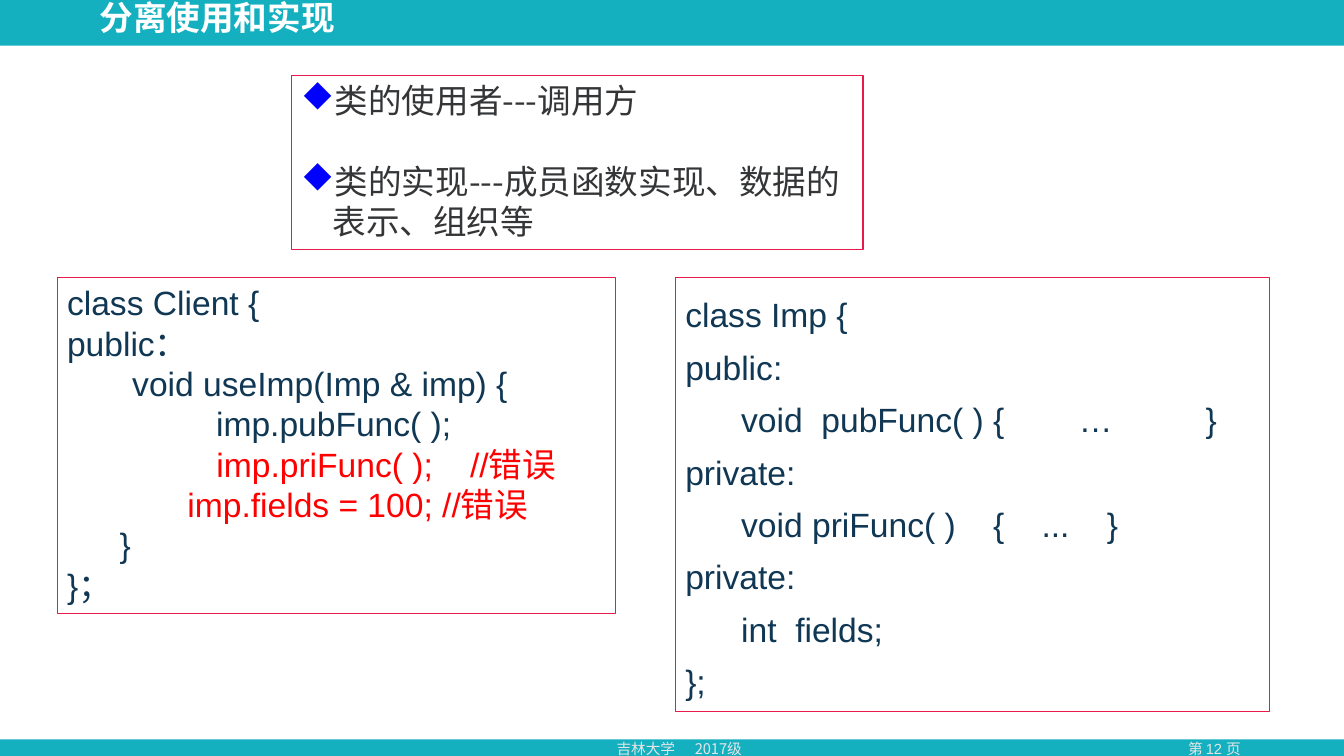
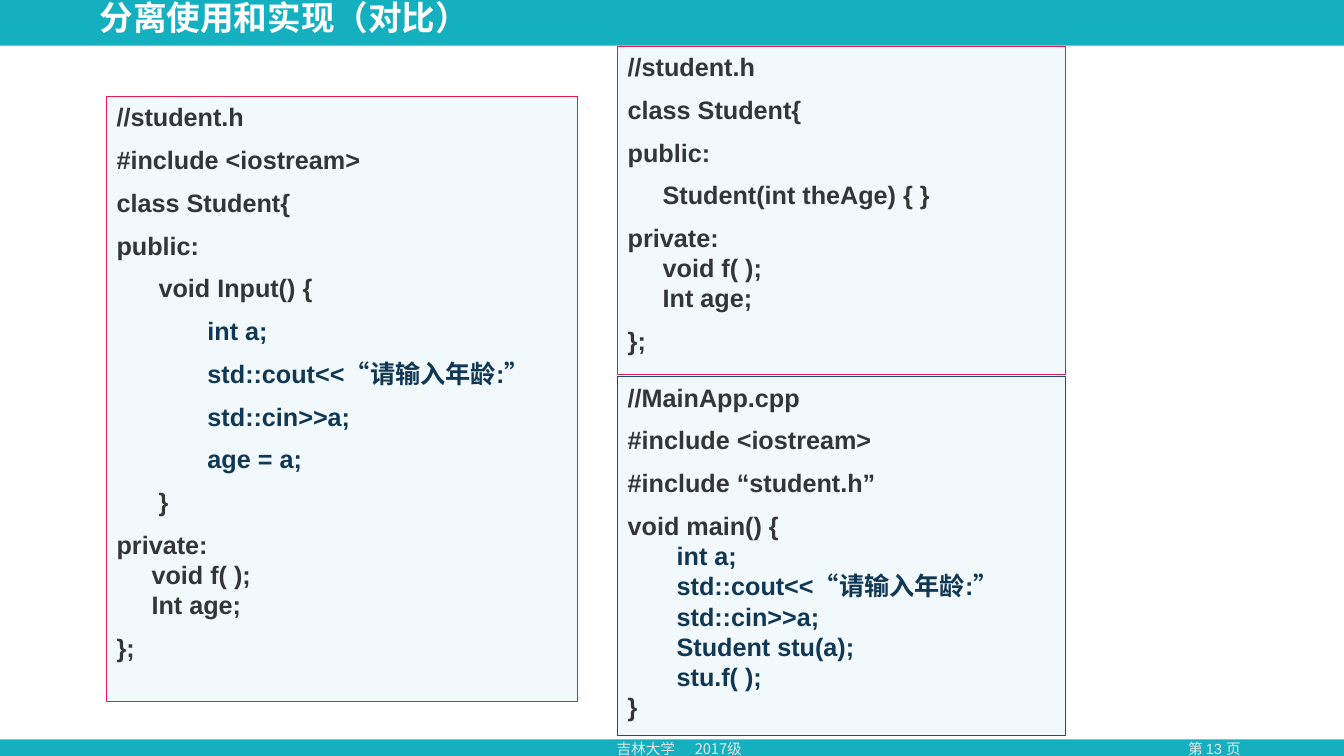
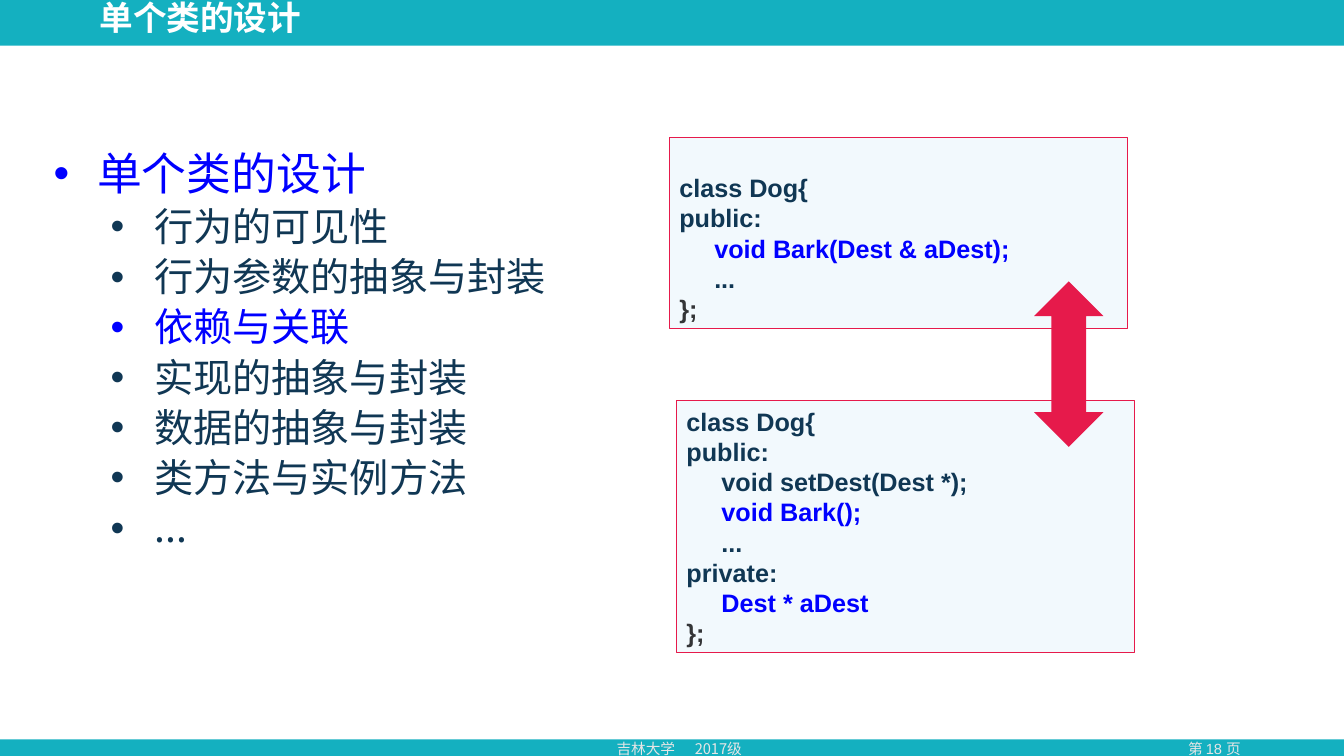
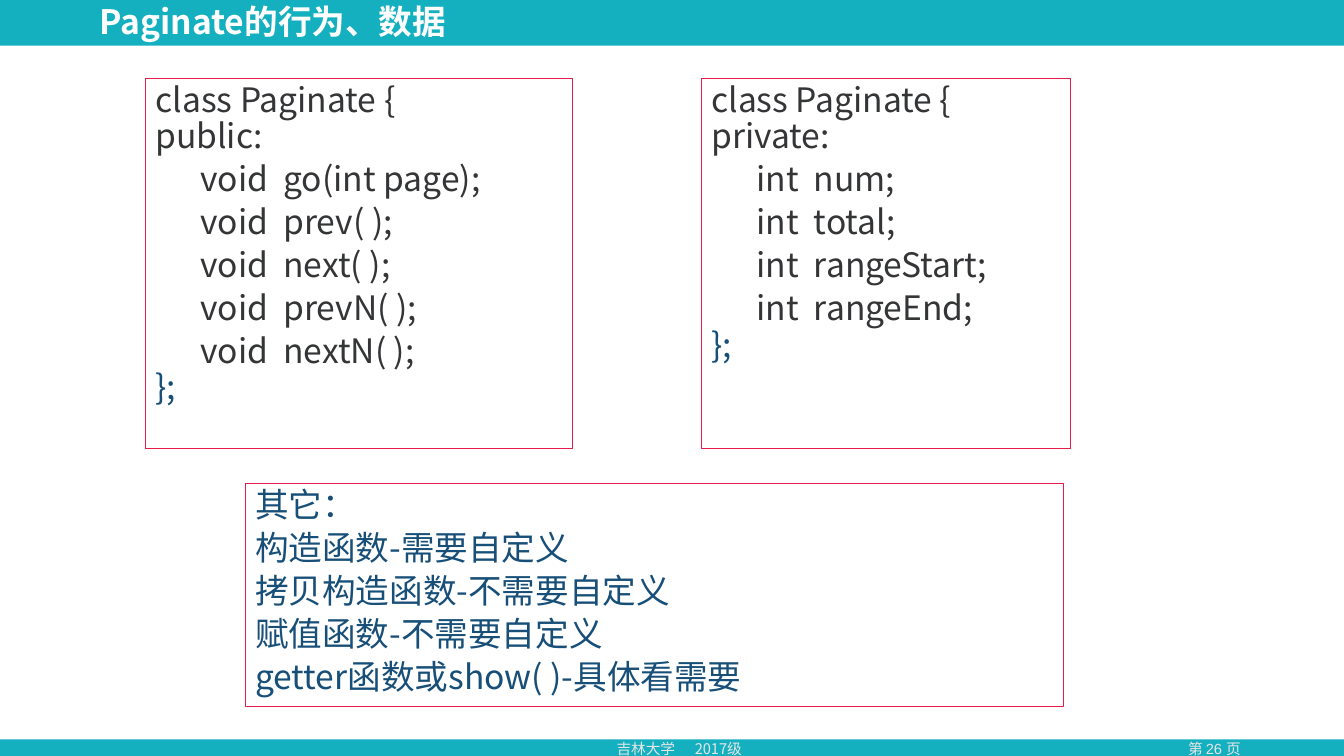
"""Build four slides on separating the use of a class from its implementation."""
from lxml import etree
from pptx import Presentation
from pptx import util as u
from pptx.dml.color import RGBColor
from pptx.enum import shapes, text
from pptx.oxml.ns import qn

TEAL = RGBColor(0x14, 0xB0, 0xC0)
WHITE = RGBColor(0xFF, 0xFF, 0xFF)
PALE = RGBColor(0xF2, 0xF9, 0xFD)
SILVER = RGBColor(0xE7, 0xE6, 0xE6)
CRIMSON = RGBColor(0xE6, 0x1A, 0x4B)
RED = RGBColor(0xFF, 0x00, 0x00)
BLUE = RGBColor(0x00, 0x00, 0xFF)
GREY = RGBColor(0x34, 0x35, 0x37)
NAVY = RGBColor(0x10, 0x37, 0x54)
STEEL = RGBColor(0x17, 0x4F, 0x78)
LATIN, CJK = "Arial", "Noto Sans CJK SC"
RECT = shapes.MSO_SHAPE.RECTANGLE
TOP, MIDDLE, BOTTOM = (text.MSO_ANCHOR.TOP, text.MSO_ANCHOR.MIDDLE,
                       text.MSO_ANCHOR.BOTTOM)


def add_shape(s, at, kind=None, fill=None, line=None):
    """Add a shape, or a text box when no kind is given; lengths are in cm."""
    at = [u.Cm(v) for v in at]
    if kind is None:
        sp = s.shapes.add_textbox(*at)
    else:
        sp = s.shapes.add_shape(kind, *at)
        sp.shadow.inherit = False
        if fill is None:
            sp.fill.background()
        else:
            sp.fill.solid()
            sp.fill.fore_color.rgb = fill
        if line is None:
            sp.line.fill.background()
        else:
            sp.line.color.rgb = line
            sp.line.width = u.Pt(0.75)
    sp.text_frame.word_wrap = True
    sp.text_frame.vertical_anchor = TOP
    return sp


def add_text(sp, paragraphs, color, size, font, bold=False, spacing=1.0, before=0):
    """Fill a shape; a paragraph is a string or a list of (text, colour) runs."""
    tf = sp.text_frame
    for i, runs in enumerate(paragraphs):
        p = tf.add_paragraph() if i else tf.paragraphs[0]
        p.alignment = text.PP_ALIGN.LEFT
        p.line_spacing = spacing
        if i and before:
            p.space_before = u.Pt(before)
        for words, run_color in [(runs, color)] if isinstance(runs, str) else runs:
            for j, line in enumerate(words.split("\n")):
                if j:
                    p.add_line_break()
                if line:
                    r = p.add_run()
                    r.text = line
                    r.font.name = font
                    r.font.size = u.Pt(size)
                    r.font.bold = bold
                    r.font.color.rgb = run_color
                    ea = etree.SubElement(r.font._element, qn("a:ea"))
                    ea.set("typeface", CJK)
    return tf


prs = Presentation()
prs.slide_width, prs.slide_height = u.Cm(33.87), u.Cm(19.05)

pages = [("分离使用和实现", 12, 0.2, 0.87, BOTTOM),
         ("分离使用和实现（对比）", 13, 0.1, 0.98, BOTTOM),
         ("单个类的设计", 18, 0.1, 0.98, BOTTOM),
         ("Paginate的行为、数据", 26, 0.1, 0.99, MIDDLE)]
for title, number, top, height, anchor in pages:
    s = prs.slides.add_slide(prs.slide_layouts[6])
    add_shape(s, (0, 0, 33.87, 19.05), RECT, TEAL)
    add_shape(s, (0, 1.15, 33.87, 17.48), RECT, WHITE)
    sp = add_shape(s, (28.75, 18.52, 3.71, 0.71))
    tf = add_text(sp, [f"第 {number} 页"], SILVER, 10.5, LATIN)
    tf.paragraphs[0].alignment = text.PP_ALIGN.CENTER
    sp = add_shape(s, (15.29, 18.52, 4.67, 0.71))
    tf = add_text(sp, ["吉林大学\t2017级"], SILVER, 10.5, CJK)
    tabs = etree.SubElement(tf.paragraphs[0]._p.get_or_add_pPr(), qn("a:tabLst"))
    etree.SubElement(tabs, qn("a:tab"), pos=str(u.Cm(1.97)), algn="l")
    sp = add_shape(s, (2.26, top, 19.51, height))
    tf = add_text(sp, [title], WHITE, 24, CJK, bold=True, spacing=0.9)
    tf.vertical_anchor = anchor
use_slide, compare_slide, design_slide, paginate_slide = prs.slides

sp = add_shape(use_slide, (7.34, 1.9, 14.41, 4.4), RECT, line=CRIMSON)
tf = add_text(sp, ["类的使用者---调用方", "类的实现---成员函数实现、数据的表示、组织等"],
              GREY, 24, CJK, before=28.8)
for p in tf.paragraphs:
    pPr = p._p.get_or_add_pPr()
    pPr.set("marL", str(u.Cm(0.79)))
    pPr.set("indent", str(u.Cm(-0.79)))
    clr = etree.SubElement(pPr, qn("a:buClr"))
    etree.SubElement(clr, qn("a:srgbClr"), val=str(BLUE))
    etree.SubElement(pPr, qn("a:buFont"), typeface="Wingdings", charset="2")
    etree.SubElement(pPr, qn("a:buChar"), char="u")

sp = add_shape(use_slide, (17.02, 6.99, 14.98, 10.93), RECT, line=CRIMSON)
add_text(sp, ["class Imp {", "public:",
              "      void  pubFunc( ) {        …          }",
              "private:",
              "      void priFunc( )    {    ...    }",
              "private:", "      int  fields;", "};"],
         NAVY, 24, LATIN, spacing=1.3)

sp = add_shape(use_slide, (1.44, 6.99, 14.07, 8.46), RECT, line=CRIMSON)
add_text(sp, ["class Client {", "public：",
              [("       void useImp(Imp & imp) {\n"
                "                imp.pubFunc( );\n"
                "                ", NAVY),
               ("imp.priFunc( );    //错误\n"
                "                imp.fields = 100; //错误\n", RED),
               ("       }", NAVY)],
              "}；"],
         NAVY, 24, LATIN)

private_part = "private:\n     void f( );\n     Int age;"
listings = [
    ((2.69, 2.44, 11.86, 15.25), CRIMSON,
     ["//student.h", "#include <iostream>", "class Student{", "public:",
      "      void Input() {",
      [("             int a;", NAVY)],
      [("             std::cout<<“请输入年龄:”", NAVY)],
      [("             std::cin>>a;", NAVY)],
      [("             age = a;", NAVY)],
      "      }", private_part, "};"]),
    ((15.57, 1.17, 11.28, 8.28), CRIMSON,
     ["//student.h", "class Student{", "public:",
      "     Student(int theAge) { }", private_part, "};"]),
    ((15.57, 9.5, 11.28, 9.04), STEEL,
     ["//MainApp.cpp", "#include <iostream>", "#include “student.h”",
      "void main() {",
      [("       int a;", NAVY)],
      [("       std::cout<<“请输入年龄:”", NAVY)],
      [("       std::cin>>a;", NAVY)],
      [("       Student stu(a);", NAVY)],
      [("       stu.f( );", NAVY)],
      "}"]),
]
for at, line, code in listings:
    sp = add_shape(compare_slide, at, RECT, PALE, line)
    main_app = add_text(sp, code, GREY, 18, LATIN, bold=True, before=8.95)
for p in main_app.paragraphs[4:]:
    p.space_before = u.Pt(0)

sp = add_shape(design_slide, (1.1, 3.69, 13.67, 13.61))
tf = add_text(sp, [[("单个类的设计", BLUE)], "行为的可见性", "行为参数的抽象与封装",
                   [("依赖与关联", BLUE)], "实现的抽象与封装", "数据的抽象与封装",
                   "类方法与实例方法", "..."],
              NAVY, 28, CJK, spacing=0.9, before=5.6)
tf.paragraphs[0].runs[0].font.size = u.Pt(32)
for i, p in enumerate(tf.paragraphs):
    p.level = min(i, 1)
    pPr = p._p.get_or_add_pPr()
    pPr.set("marL", str(u.Cm(2.54 if i else 1.1)))
    pPr.set("indent", str(u.Cm(-1.1)))
    etree.SubElement(pPr, qn("a:buFont"), typeface=LATIN)
    etree.SubElement(pPr, qn("a:buChar"), char="•")

dogs = [
    ((16.87, 3.46, 11.55, 4.82),
     [("class Dog{\npublic:\n     ", NAVY), ("void Bark(Dest & aDest);\n", BLUE),
      ("     ...\n", NAVY), ("};", GREY)]),
    ((17.05, 10.09, 11.55, 6.36),
     [("class Dog{\npublic:\n     void setDest(Dest *);\n     ", NAVY),
      ("void Bark();\n", BLUE), ("     ...\nprivate:\n     ", NAVY),
      ("Dest * aDest\n", BLUE), ("};", GREY)]),
]
for at, code in dogs:
    sp = add_shape(design_slide, at, RECT, PALE, CRIMSON)
    tf = add_text(sp, [code], NAVY, 18, LATIN, bold=True)
    tf.vertical_anchor = BOTTOM
add_shape(design_slide, (26.06, 7.09, 1.75, 4.17), shapes.MSO_SHAPE.UP_DOWN_ARROW, CRIMSON)

panels = [
    ((3.67, 1.98, 10.77, 9.32), GREY,
     ["class Paginate {\npublic:", "      void  go(int page);", "      void  prev( );",
      "      void  next( );", "      void  prevN( );",
      [("      void  nextN( );\n", GREY), ("};", STEEL)]]),
    ((17.68, 1.98, 9.3, 9.32), GREY,
     ["class Paginate {\nprivate:", "      int  num;", "      int  total;",
      "      int  rangeStart;",
      [("      int  rangeEnd;\n", GREY), ("};", STEEL)]]),
    ((6.18, 12.19, 20.62, 5.61), STEEL,
     ["其它：", "构造函数-需要自定义", "拷贝构造函数-不需要自定义",
      "赋值函数-不需要自定义", "getter函数或show( )-具体看需要"]),
]
for at, color, lines in panels:
    sp = add_shape(paginate_slide, at, RECT, line=CRIMSON)
    add_text(sp, lines, color, 24, CJK, spacing=0.9, before=4.8)

prs.save("out.pptx")
